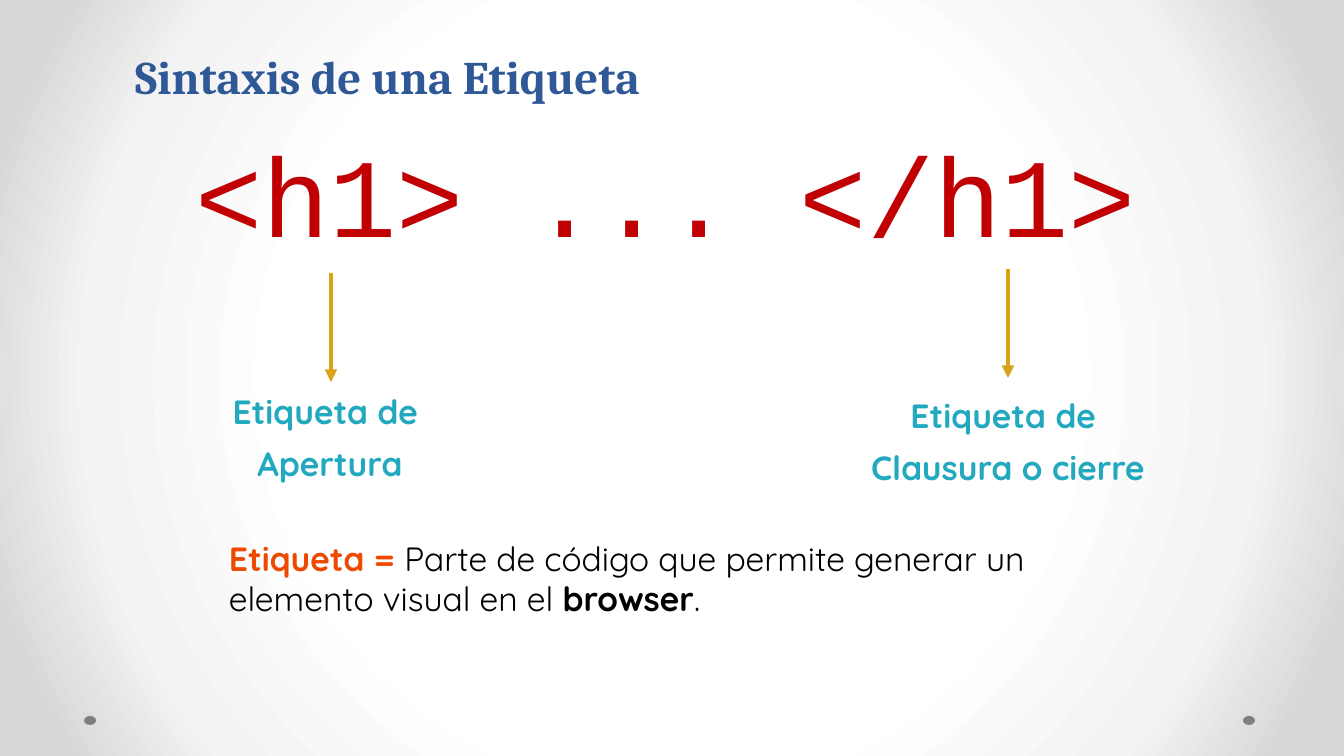
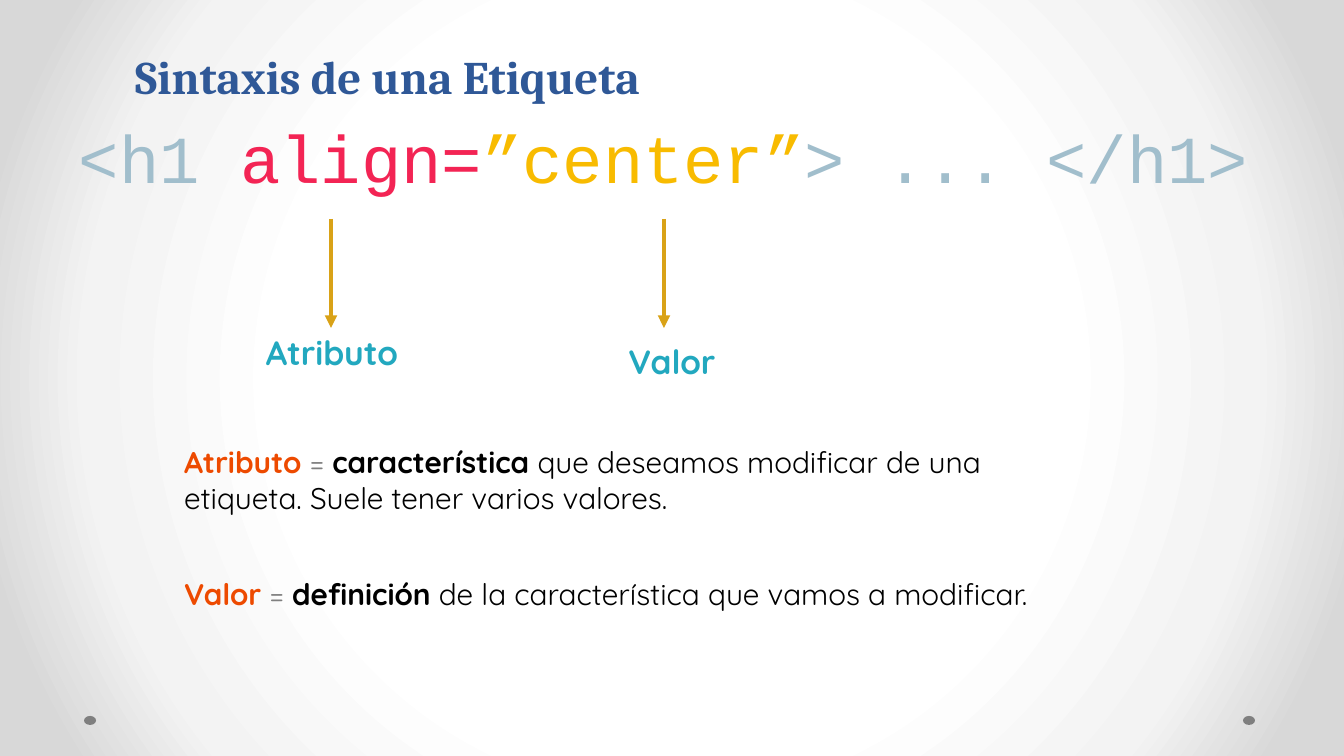
from pptx import Presentation
from pptx.dml.color import RGBColor
from pptx.enum.shapes import MSO_CONNECTOR, MSO_SHAPE
from pptx.enum.text import MSO_ANCHOR, PP_ALIGN
from pptx.oxml import parse_xml
from pptx.oxml.ns import nsdecls, qn
from pptx.util import Emu, Pt
from lxml.etree import SubElement

SCALE = 914400 / 134.4
SLIDE_W, SLIDE_H = 1344, 756
INSET = 13
ARROW_LENGTH = 109

BLUE = RGBColor(0x2F, 0x58, 0x97)
TEAL = RGBColor(0x22, 0xA8, 0xBF)
ORANGE = RGBColor(0xED, 0x4A, 0x00)
BLACK = RGBColor(0x00, 0x00, 0x00)
GRAY = RGBColor(0x7F, 0x7F, 0x7F)
GOLD = RGBColor(0xD9, 0xA2, 0x17)
RED = RGBColor(0xC1, 0x00, 0x03)
PALE_BLUE = RGBColor(0xA1, 0xBE, 0xCC)
PINK = RGBColor(0xF3, 0x24, 0x54)
YELLOW = RGBColor(0xF8, 0xBB, 0x00)
GRADIENT = [
    (0, RGBColor(0xFF, 0xFF, 0xFF)),
    (50, RGBColor(0xFF, 0xFF, 0xFF)),
    (76, RGBColor(0xF3, 0xF3, 0xF3)),
    (92, RGBColor(0xD8, 0xD8, 0xD8)),
    (100, RGBColor(0xD8, 0xD8, 0xD8)),
]

TITLE_FONT, CODE_FONT, BODY_FONT = "Cambria", "Courier New", "Quicksand"


def px(n):
    """Turn px into EMU."""
    return Emu(round(n * SCALE))


def add_text(s, box, paragraphs, size, font, align=PP_ALIGN.LEFT,
             before=0, gap=None, spacing=None, anchor=MSO_ANCHOR.TOP):
    """Add a text box of paragraphs, each a list of (text, colour, bold) runs."""
    tf = s.shapes.add_textbox(*map(px, box)).text_frame
    tf.word_wrap = True
    tf.vertical_anchor = anchor
    tf.margin_left = tf.margin_right = tf.margin_top = tf.margin_bottom = px(INSET)
    for i, runs in enumerate(paragraphs):
        p = tf.add_paragraph() if i else tf.paragraphs[0]
        p.alignment = align
        p.space_before = Pt(gap if i and gap else before)
        if spacing:
            p.line_spacing = spacing
        for text, color, bold in runs:
            r = p.add_run()
            r.text = text
            r.font.name, r.font.size = font, Pt(size)
            r.font.bold = bold
            r.font.color.rgb = color


def set_background(master):
    """Give the master a round gradient that darkens towards the corners."""
    stops = "".join(
        f'<a:gs pos="{pos * 1000}"><a:srgbClr val="{color}"/></a:gs>'
        for pos, color in GRADIENT)
    c_sld = master.element.cSld
    for bg in c_sld.findall(qn("p:bg")):
        c_sld.remove(bg)
    c_sld.insert(0, parse_xml(
        f'<p:bg {nsdecls("p", "a")}><p:bgPr><a:gradFill rotWithShape="1">'
        f'<a:gsLst>{stops}</a:gsLst><a:path path="circle">'
        '<a:fillToRect l="50000" t="50000" r="50000" b="50000"/></a:path>'
        '</a:gradFill><a:effectLst/></p:bgPr></p:bg>'))


def add_dots(s, box):
    """Put a grey dot at each end of the footer box."""
    x, y, w, h = box
    dot_w = 12
    for left in (x + w - dot_w, x):
        sp = s.shapes.add_shape(MSO_SHAPE.OVAL, px(left), px(y), px(dot_w), px(h))
        sp.shadow.inherit = False
        sp.fill.solid()
        sp.fill.fore_color.rgb = GRAY
        sp.line.fill.background()


def add_frame(prs):
    """Add a blank slide with the shared title and footer dots."""
    s = prs.slides.add_slide(prs.slide_layouts[6])
    add_dots(s, (84, 716, 1171, 9))
    add_text(s, (0, 23, 775, 94), [[("Sintaxis de una Etiqueta", BLUE, True)]],
             25, TITLE_FONT, PP_ALIGN.CENTER, spacing=2.32, anchor=MSO_ANCHOR.BOTTOM)
    return s


def add_code(s, box, runs, size):
    """Add the line of code as coloured runs."""
    add_text(s, box, [[(text, color, False) for text, color in runs]],
             size, CODE_FONT, PP_ALIGN.CENTER, before=10)


def add_callout(s, box, lines, tip):
    """Add a label and the arrow whose tip is offset from the label's corner."""
    add_text(s, box, [[(line, TEAL, True)] for line in lines],
             18, BODY_FONT, PP_ALIGN.CENTER, before=6)
    x, y = box[0] + tip[0], box[1] + tip[1]
    arrow = s.shapes.add_connector(
        MSO_CONNECTOR.STRAIGHT, px(x), px(y - ARROW_LENGTH), px(x), px(y))
    arrow.line.color.rgb = GOLD
    arrow.line.width = Pt(2.25)
    SubElement(arrow.line._get_or_add_ln(), qn("a:tailEnd"), type="triangle")
    SubElement(arrow._element.spPr, qn("a:effectLst"))


def add_definitions(s, box, paragraphs, size):
    """Add the definitions, set apart by a wide gap."""
    add_text(s, box, paragraphs, size, BODY_FONT, before=6, gap=32)


def build_tag_slide(prs):
    """Build the slide on opening and closing tags."""
    s = add_frame(prs)
    add_callout(s, (142, 378, 376, 138), ["Etiqueta de ", "Apertura"], (189, 4))
    add_callout(s, (820, 382, 376, 138), ["Etiqueta de ", "Clausura o cierre"], (188, -4))
    add_code(s, (44, 113, 1243, 214), [("<h1> ... </h1>", RED)], 60)
    add_definitions(s, (216, 525, 972, 151), [[
        ("Etiqueta = ", ORANGE, True),
        ("Parte de código que permite generar un elemento visual en el ", BLACK, False),
        ("browser", BLACK, True),
        (".", BLACK, False),
    ]], 18)


def build_attribute_slide(prs):
    """Build the slide on attributes and values."""
    s = add_frame(prs)
    add_callout(s, (237, 319, 190, 77), ["Atributo"], (94, 9))
    add_callout(s, (571, 328, 202, 75), ["Valor"], (93, 0))
    add_code(s, (42, 103, 1243, 149), [
        ("<h1 ", PALE_BLUE), ("align=", PINK),
        ("”center”", YELLOW), ("> ... </h1>", PALE_BLUE)], 36)
    definitions = [
        ("Atributo ", "característica",
         " que deseamos modificar de una etiqueta. Suele tener varios valores."),
        ("Valor ", "definición", " de la característica que vamos a modificar."),
    ]
    add_definitions(s, (171, 431, 925, 296), [
        [(term, ORANGE, True), ("= ", GRAY, False), (key, BLACK, True), (rest, BLACK, False)]
        for term, key, rest in definitions], 16)


def main():
    """Build and save the presentation."""
    prs = Presentation()
    prs.slide_width, prs.slide_height = px(SLIDE_W), px(SLIDE_H)
    set_background(prs.slide_master)
    build_tag_slide(prs)
    build_attribute_slide(prs)
    prs.save("out.pptx")


if __name__ == "__main__":
    main()
